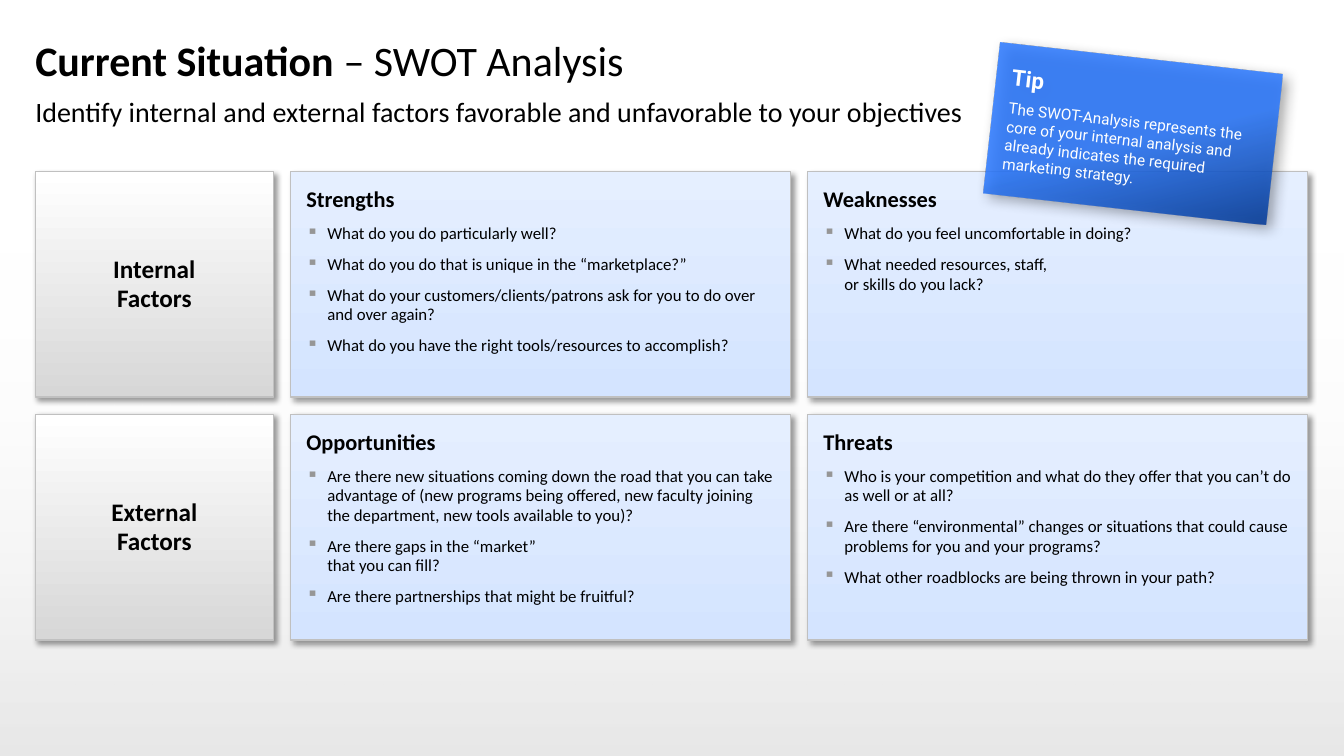
from lxml import etree
from pptx import Presentation
from pptx.dml.color import RGBColor
from pptx.enum.shapes import MSO_SHAPE as SHAPE
from pptx.enum.text import MSO_ANCHOR as ANCHOR, PP_ALIGN as ALIGN
from pptx.oxml.ns import qn
from pptx.util import Cm, Pt

# Content
TITLE = ("Current Situation ", "– SWOT Analysis")
SUBTITLE = "Identify internal and external factors favorable and unfavorable to your objectives"
ROWS = [
    ("Internal\nFactors", [
        ("Strengths", [
            "What do you do particularly well?",
            "What do you do that is unique in the “marketplace?”",
            "What do your customers/clients/patrons ask for you to do over and over again?",
            "What do you have the right tools/resources to accomplish?"]),
        ("Weaknesses", [
            "What do you feel uncomfortable in doing?",
            "What needed resources, staff,\nor skills do you lack?"])]),
    ("External\nFactors", [
        ("Opportunities", [
            "Are there new situations coming down the road that you can take advantage of "
            "(new programs being offered, new faculty joining the department, "
            "new tools available to you)?",
            "Are there gaps in the “market”\nthat you can fill?",
            "Are there partnerships that might be fruitful?"]),
        ("Threats", [
            "Who is your competition and what do they offer that you can’t do as well or at all?",
            "Are there “environmental” changes or situations that could cause problems "
            "for you and your programs?",
            "What other roadblocks are being thrown in your path?"])]),
]
TIP = ("Tip", "The SWOT-Analysis represents the core of your internal analysis "
              "and already indicates the required marketing strategy.")


class Theme:
    font, tip_font = "Calibri", "Roboto"
    text, light, border, bullet, shadow = "000000", "FFFFFF", "C0C0C0", "969696", "000000"
    # Gradients: angle and (position %, colour, opacity %)
    floor = (270, [(0, "000000", 10), (100, "FFFFFF", 0)])
    factor = (270, [(0, "D7D7D7", 100), (100, "FFFFFF", 100)])
    panel = (90, [(0, "E5EFFF", 100), (100, "D4E4FF", 100)])
    tip = (70, [(0, "2A79FF", 85), (53, "2A79FF", 85), (100, "003794", 85)])
    title, subtitle, label, heading, body, note = 30, 20, 18, 16, 12, 11


# Layout in centimetres
SLIDE_W, SLIDE_H = 33.87, 19.05
MARGIN, TOP, GAP = 0.89, 4.32, 0.43
FACTOR_W, PANEL_W, ROW_H = 6.0, 12.6, 5.69
HEAD_W = SLIDE_W - 2 * MARGIN
INDENT = 0.53


def add_color(parent, color, opacity):
    clr = etree.SubElement(parent, qn("a:srgbClr"), val=color)
    if opacity < 100:
        etree.SubElement(clr, qn("a:alpha"), val=str(opacity * 1000))


def add_box(slide, box, gradient, shadow=None, border=False):
    """Rectangle with a gradient; shadow is (blur pt, distance pt)."""
    s = slide.shapes.add_shape(SHAPE.RECTANGLE, *map(Cm, box))
    s.fill.background()
    angle, stops = gradient
    fill = etree.Element(qn("a:gradFill"), rotWithShape="1")
    stop_list = etree.SubElement(fill, qn("a:gsLst"))
    for pos, color, opacity in stops:
        add_color(etree.SubElement(stop_list, qn("a:gs"), pos=str(pos * 1000)), color, opacity)
    etree.SubElement(fill, qn("a:lin"), ang=str(angle * 60000), scaled="0")
    sp_pr = s._element.spPr
    sp_pr.replace(sp_pr.find(qn("a:noFill")), fill)
    if border:
        s.line.color.rgb = RGBColor.from_string(Theme.border)
        s.line.width = Pt(1)
    else:
        s.line.fill.background()
    s.shadow.inherit = False
    if shadow:
        blur, dist = shadow
        outer = etree.SubElement(
            sp_pr.find(qn("a:effectLst")), qn("a:outerShdw"), blurRad=str(Pt(blur)),
            dist=str(Pt(dist)), dir=str(45 * 60000), algn="tl", rotWithShape="0")
        add_color(outer, Theme.shadow, 40)
    return s


def set_frame(s, insets=(0, 0, 0, 0), anchor=ANCHOR.TOP):
    tf = s.text_frame
    tf.word_wrap = True
    tf.vertical_anchor = anchor
    tf.margin_left, tf.margin_top, tf.margin_right, tf.margin_bottom = map(Cm, insets)
    return tf


def style(p, size, bold=False, font=Theme.font, color=Theme.text, align=ALIGN.LEFT,
          spacing=None, after=None):
    p.alignment = align
    if spacing:
        p.line_spacing = spacing
    if after:
        p.space_after = Pt(after)
    for r in p.runs:
        r.font.size, r.font.bold, r.font.name = Pt(size), bold, font
        r.font.color.rgb = RGBColor.from_string(color)


def add_bullet(p):
    p_pr = p._p.get_or_add_pPr()
    p_pr.set("marL", str(Cm(INDENT)))
    p_pr.set("indent", str(-Cm(INDENT)))
    add_color(etree.SubElement(p_pr, qn("a:buClr")), Theme.bullet, 100)
    etree.SubElement(p_pr, qn("a:buChar"), char="▪")
    p.space_before = Pt(2.4)


def add_headline(slide):
    box = slide.shapes.add_textbox(*map(Cm, (MARGIN, 0.66, HEAD_W, 1.7)))
    p = set_frame(box, anchor=ANCHOR.MIDDLE).paragraphs[0]
    for part in TITLE:
        p.add_run().text = part
    style(p, Theme.title)
    p.runs[0].font.bold = True
    box = slide.shapes.add_textbox(*map(Cm, (MARGIN, 2.39, HEAD_W, 0.94)))
    p = set_frame(box).paragraphs[0]
    p.text = SUBTITLE
    style(p, Theme.subtitle)


def add_factor(slide, top, label):
    s = add_box(slide, (MARGIN, top, FACTOR_W, ROW_H), Theme.factor, (4, 3), border=True)
    p = set_frame(s, anchor=ANCHOR.MIDDLE).paragraphs[0]
    p.text = label
    style(p, Theme.label, bold=True, align=ALIGN.CENTER, spacing=0.95, after=8)


def add_panel(slide, left, top, heading, questions):
    s = add_box(slide, (left, top, PANEL_W, ROW_H), Theme.panel, (4, 3), border=True)
    tf = set_frame(s, (0.4, 0.4, 0.3, 0))
    p = tf.paragraphs[0]
    p.text = heading
    style(p, Theme.heading, bold=True, spacing=0.95, after=6)
    for question in questions:
        p = tf.add_paragraph()
        p.text = question
        add_bullet(p)
        style(p, Theme.body, spacing=0.95, after=6)


def add_tip(slide):
    s = add_box(slide, (24.97, 1.45, 7.16, 3.81), Theme.tip, (10, 5))
    s.rotation = 6.4
    tf = set_frame(s, (0.4, 0.5, 0.2, 0.13))
    tf.text = "\n".join(TIP)
    for p, size, bold in zip(tf.paragraphs, (Theme.heading, Theme.note), (True, False)):
        style(p, size, bold, Theme.tip_font, Theme.light, after=6)


def main():
    prs = Presentation()
    prs.slide_width, prs.slide_height = Cm(SLIDE_W), Cm(SLIDE_H)
    slide = prs.slides.add_slide(prs.slide_layouts[6])

    # Shaded lower background
    add_box(slide, (0, 5.61, SLIDE_W, SLIDE_H - 5.61), Theme.floor)
    add_headline(slide)

    # SWOT grid
    for row, (label, panels) in enumerate(ROWS):
        top = TOP + row * (ROW_H + GAP)
        add_factor(slide, top, label)
        for col, (heading, questions) in enumerate(panels):
            left = MARGIN + FACTOR_W + GAP + col * (PANEL_W + GAP)
            add_panel(slide, left, top, heading, questions)

    add_tip(slide)
    prs.save("out.pptx")


if __name__ == "__main__":
    main()
